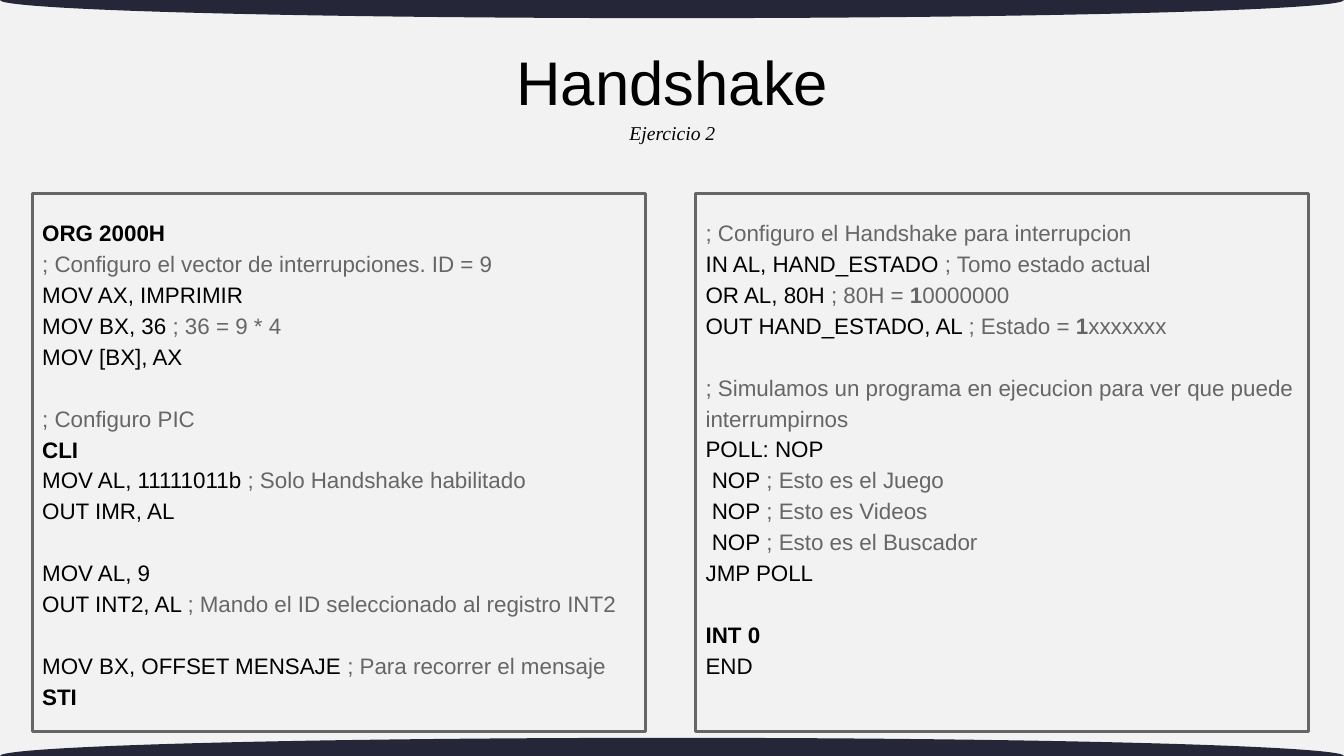
from dataclasses import dataclass

from pptx import Presentation
from pptx.dml.color import RGBColor
from pptx.enum.shapes import MSO_SHAPE
from pptx.enum.text import MSO_ANCHOR, PP_ALIGN
from pptx.shapes.autoshape import Shape
from pptx.slide import Slide
from pptx.util import Inches, Pt

BLACK = RGBColor(0x00, 0x00, 0x00)
GRAY = RGBColor(0x66, 0x66, 0x66)
NAVY = RGBColor(0x25, 0x27, 0x38)
PAPER = RGBColor(0xF2, 0xF2, 0xF2)
SLIDE_WIDTH = 13.33
SLIDE_HEIGHT = 7.5
BAND_HEIGHT = 0.36
BLANK_LINE = Pt(22.1)


@dataclass(frozen=True)
class Span:
    text: str
    color: RGBColor = BLACK
    bold: bool = False


@dataclass(frozen=True)
class Line:
    spans: tuple[Span, ...]
    gap_before: bool = False


@dataclass(frozen=True)
class Heading:
    text: str
    left: float
    top: float
    width: float
    height: float
    anchor: MSO_ANCHOR
    line_spacing: float
    font: dict


@dataclass(frozen=True)
class Panel:
    left: float
    bottom_inset: float
    lines: tuple[Line, ...]


def line(code: str = "", comment: str = "", gap: bool = False) -> Line:
    spans = (Span(code), Span(comment, GRAY))
    return Line(tuple(span for span in spans if span.text), gap)


def keyword(text: str, gap: bool = False) -> Line:
    return Line((Span(text, bold=True),), gap)


def bit_line(code: str, comment: str, rest: str) -> Line:
    return Line((Span(code), Span(comment, GRAY), Span("1", GRAY, True), Span(rest, GRAY)))


HEADINGS = (
    Heading("Handshake", 4.66, 0.38, 4.02, 0.94, MSO_ANCHOR.MIDDLE, 0.9,
            {"name": "Arial", "size": Pt(44)}),
    Heading("Ejercicio 2", 4.4, 1.15, 4.54, 0.34, MSO_ANCHOR.TOP, 1.0,
            {"name": "Times New Roman", "size": Pt(14), "italic": True}),
)

PANELS = (
    Panel(0.32, 0.05, (
        keyword("ORG 2000H"),
        line(comment="; Configuro el vector de interrupciones. ID = 9"),
        line("MOV AX, IMPRIMIR"),
        line("MOV BX, 36 ", "; 36 = 9 * 4"),
        line("MOV [BX], AX"),
        line(comment="; Configuro PIC", gap=True),
        keyword("CLI"),
        line("MOV AL, 11111011b ", "; Solo Handshake habilitado"),
        line("OUT IMR, AL"),
        line("MOV AL, 9", gap=True),
        line("OUT INT2, AL ", "; Mando el ID seleccionado al registro INT2"),
        line("MOV BX, OFFSET MENSAJE ", "; Para recorrer el mensaje", gap=True),
        keyword("STI"),
    )),
    Panel(6.9, 0.36, (
        line(comment="; Configuro el Handshake para interrupcion"),
        line("IN AL, HAND_ESTADO ", "; Tomo estado actual"),
        bit_line("OR AL, 80H ", "; 80H = ", "0000000"),
        bit_line("OUT HAND_ESTADO, AL ", "; Estado = ", "xxxxxxx"),
        line(comment="; Simulamos un programa en ejecucion para ver que puede interrumpirnos",
             gap=True),
        line("POLL: NOP"),
        line(" NOP", " ; Esto es el Juego"),
        line(" NOP", " ; Esto es Videos"),
        line(" NOP", " ; Esto es el Buscador"),
        line("JMP POLL"),
        keyword("INT 0", gap=True),
        line("END"),
    )),
)


def apply_format(target: object, values: dict) -> None:
    for name, value in values.items():
        setattr(target, name, value)


def add_band(page: Slide, center: float) -> None:
    band = page.shapes.add_shape(
        MSO_SHAPE.OVAL, Inches(0), Inches(center - BAND_HEIGHT / 2),
        Inches(SLIDE_WIDTH), Inches(BAND_HEIGHT))
    band.shadow.inherit = False
    band.fill.solid()
    band.fill.fore_color.rgb = NAVY
    band.line.fill.background()


def add_heading(page: Slide, heading: Heading) -> None:
    box = page.shapes.add_textbox(
        Inches(heading.left), Inches(heading.top),
        Inches(heading.width), Inches(heading.height))
    apply_format(box.text_frame, {"word_wrap": True, "vertical_anchor": heading.anchor})
    para = box.text_frame.paragraphs[0]
    apply_format(para, {"alignment": PP_ALIGN.CENTER, "line_spacing": heading.line_spacing})
    run = para.add_run()
    run.text = heading.text
    apply_format(run.font, heading.font)
    run.font.color.rgb = BLACK


def write_lines(box: Shape, lines: tuple[Line, ...]) -> None:
    frame = box.text_frame
    for index, entry in enumerate(lines):
        para = frame.add_paragraph() if index else frame.paragraphs[0]
        apply_format(para, {"alignment": PP_ALIGN.LEFT, "line_spacing": 1.15})
        if entry.gap_before:
            para.space_before = BLANK_LINE
        for span in entry.spans:
            run = para.add_run()
            run.text = span.text
            apply_format(run.font, {"name": "Arial", "size": Pt(16), "bold": span.bold})
            run.font.color.rgb = span.color


def add_panel(page: Slide, panel: Panel) -> None:
    box = page.shapes.add_shape(
        MSO_SHAPE.RECTANGLE, Inches(panel.left), Inches(1.92), Inches(6.08), Inches(5.34))
    box.shadow.inherit = False
    box.fill.background()
    box.line.color.rgb = GRAY
    box.line.width = Pt(2.25)
    apply_format(box.text_frame, {
        "word_wrap": True,
        "vertical_anchor": MSO_ANCHOR.MIDDLE,
        "margin_bottom": Inches(panel.bottom_inset),
    })
    write_lines(box, panel.lines)


def main() -> None:
    deck = Presentation()
    deck.slide_width = Inches(SLIDE_WIDTH)
    deck.slide_height = Inches(SLIDE_HEIGHT)
    page = deck.slides.add_slide(deck.slide_layouts[6])
    page.background.fill.solid()
    page.background.fill.fore_color.rgb = PAPER
    for center in (0, SLIDE_HEIGHT):
        add_band(page, center)
    for heading in HEADINGS:
        add_heading(page, heading)
    for panel in PANELS:
        add_panel(page, panel)
    deck.save("out.pptx")


if __name__ == "__main__":
    main()
